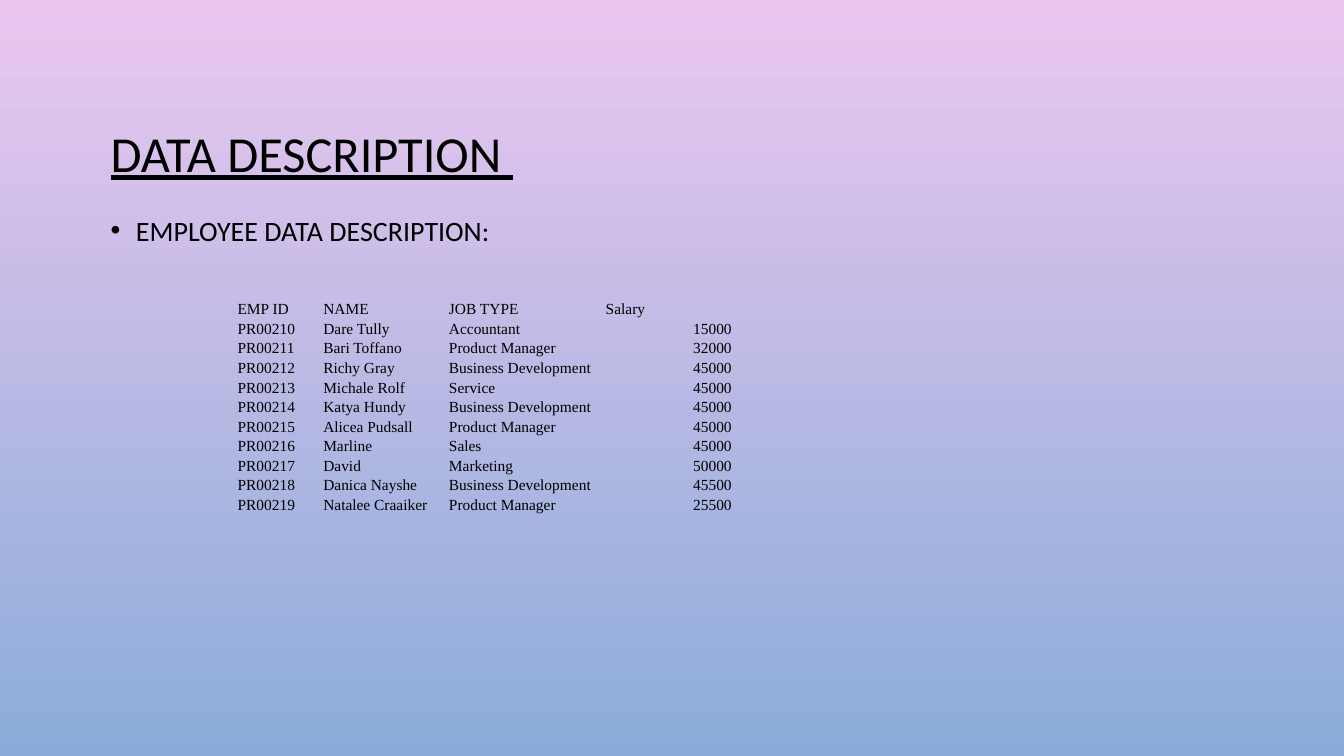
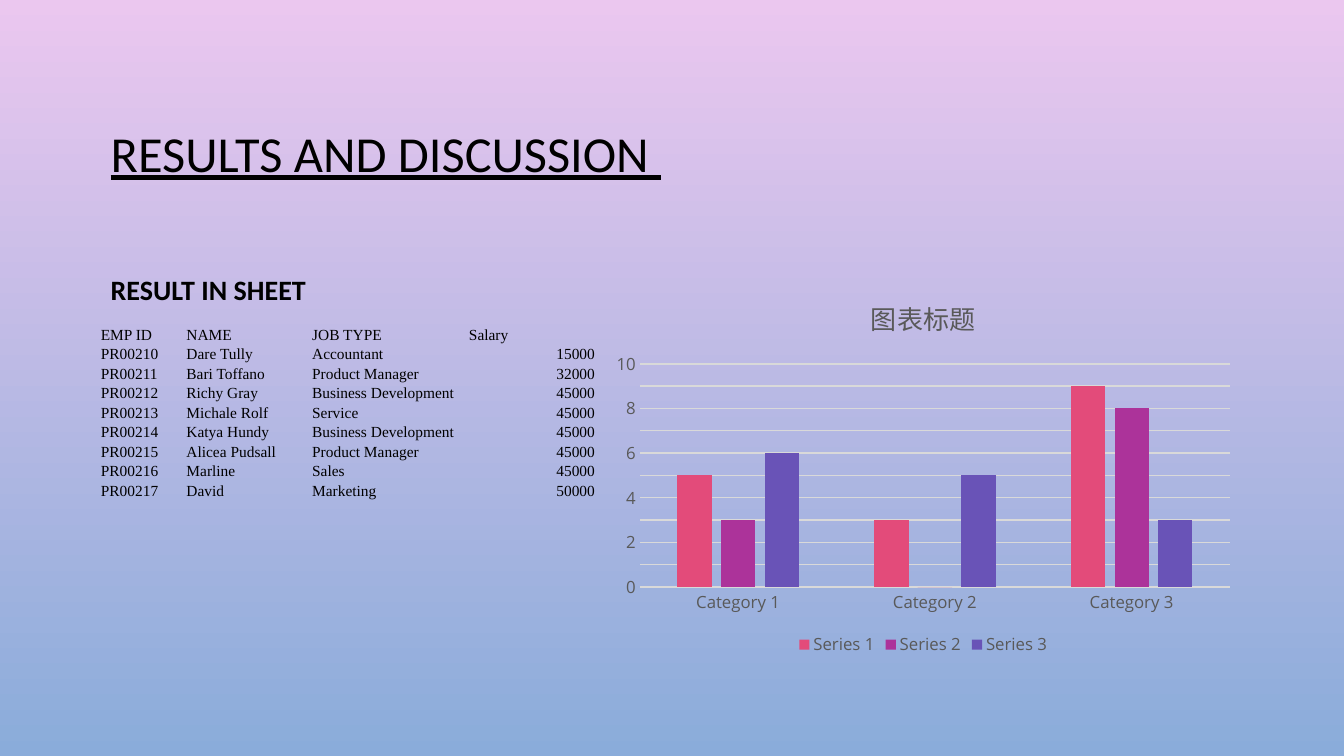
"""Build two slides on employee data: a description table and its results."""
from lxml import etree
from pptx import Presentation
from pptx import util as u
from pptx.chart import data as chart_data
from pptx.dml import color
from pptx.enum import chart as ch, text as tx
from pptx.oxml import ns

COLOURS = {"top": "EBC7EF", "bottom": "8AACDA", "ink": "000000",
           "label": "595959", "grid": "D9D9D9"}
HEADING_FONT, TABLE_FONT, CHART_FONT = "Calibri", "Times New Roman", "Open Sans"
NO_STYLE = "{2D5ABB26-0587-4C30-8999-92F81FD0307C}"
MARGIN, CONTENT_WIDTH = 72, 816
COLUMN_WIDTHS = (61.2, 89.8, 112, 90)
ROW_HEIGHT = 14
HEADINGS = ("EMP ID", "NAME", "JOB TYPE", "Salary")
EMPLOYEES = [
    ("PR00210", "Dare Tully", "Accountant", "15000"),
    ("PR00211", "Bari Toffano", "Product Manager", "32000"),
    ("PR00212", "Richy Gray", "Business Development", "45000"),
    ("PR00213", "Michale Rolf", "Service", "45000"),
    ("PR00214", "Katya Hundy", "Business Development", "45000"),
    ("PR00215", "Alicea Pudsall", "Product Manager", "45000"),
    ("PR00216", "Marline", "Sales", "45000"),
    ("PR00217", "David", "Marketing", "50000"),
    ("PR00218", "Danica Nayshe", "Business Development", "45500"),
    ("PR00219", "Natalee Craaiker", "Product Manager", "25500"),
]
CATEGORIES = ("Category 1", "Category 2", "Category 3")
SERIES = [("Series 1", (5, 3, 9), "E34B7A"),
          ("Series 2", (3, 0, 8), "AC339A"),
          ("Series 3", (6, 5, 3), "6953B7")]


def rgb(value):
    return color.RGBColor.from_string(value)


def style_font(font, name, size, colour=COLOURS["ink"], bold=False):
    font.name, font.size, font.bold = name, u.Pt(size), bold
    font.color.rgb = rgb(colour)


def paint_background(master):
    fill = master.background.fill
    fill.gradient()
    fill.gradient_angle = 270
    for stop, key in zip(fill.gradient_stops, ("top", "bottom")):
        stop.color.rgb = rgb(COLOURS[key])


def add_text(slide, words, top, height, size, spacing, bold=False):
    box = slide.shapes.add_textbox(u.Pt(MARGIN), u.Pt(top),
                                   u.Pt(CONTENT_WIDTH), u.Pt(height))
    box.text_frame.word_wrap = True
    paragraph = box.text_frame.paragraphs[0]
    paragraph.text = words
    paragraph.line_spacing = spacing
    style_font(paragraph.font, HEADING_FONT, size, bold=bold)
    return box.text_frame


def add_title(slide, words):
    frame = add_text(slide, words, 48.5, 126, 36, 0.9)
    frame.vertical_anchor = tx.MSO_ANCHOR.MIDDLE
    frame.paragraphs[0].font.underline = True


def add_subheading(slide, words, top, height, bullet=False, bold=False):
    paragraph = add_text(slide, words, top, height, 20, 1.2, bold).paragraphs[0]
    paragraph.space_before = u.Pt(10)
    if bullet:
        properties = paragraph._p.get_or_add_pPr()
        properties.set("marL", str(u.Pt(18)))
        properties.set("indent", str(-u.Pt(18)))
        font = etree.Element(ns.qn("a:buFont"), typeface="Arial")
        mark = etree.Element(ns.qn("a:buChar"), char="•")
        properties.find(ns.qn("a:spcBef")).addnext(font)
        font.addnext(mark)


def add_employee_table(slide, left, top, employees):
    rows = [HEADINGS, *employees]
    frame = slide.shapes.add_table(
        len(rows), len(HEADINGS), u.Pt(left), u.Pt(top),
        u.Pt(sum(COLUMN_WIDTHS)), u.Pt(ROW_HEIGHT * len(rows)))
    table = frame.table
    table.first_row = table.horz_banding = False
    table._tbl.tblPr.find(ns.qn("a:tableStyleId")).text = NO_STYLE
    for column, width in zip(table.columns, COLUMN_WIDTHS):
        column.width = u.Pt(width)
    for r, values in enumerate(rows):
        table.rows[r].height = u.Pt(ROW_HEIGHT)
        for c, value in enumerate(values):
            cell = table.cell(r, c)
            cell.fill.background()
            cell.margin_left = cell.margin_right = 0
            cell.margin_top = cell.margin_bottom = 0
            cell.vertical_anchor = tx.MSO_ANCHOR.BOTTOM
            paragraph = cell.text_frame.paragraphs[0]
            paragraph.text = value
            style_font(paragraph.font, TABLE_FONT, 11)
            if value.isdigit():
                paragraph.alignment = tx.PP_ALIGN.RIGHT


def style_axes(chart):
    for axis in (chart.category_axis, chart.value_axis):
        axis.major_tick_mark = axis.minor_tick_mark = ch.XL_TICK_MARK.NONE
        style_font(axis.tick_labels.font, CHART_FONT, 12, COLOURS["label"])
    values = chart.value_axis
    values.minimum_scale, values.maximum_scale, values.major_unit = 0, 10, 1
    values.format.line.fill.background()
    for line in (chart.category_axis.format.line,
                 values.major_gridlines.format.line):
        line.width = u.Pt(1)
        line.color.rgb = rgb(COLOURS["grid"])


def add_results_chart(slide):
    figures = chart_data.CategoryChartData()
    figures.categories = CATEGORIES
    for name, values, _ in SERIES:
        figures.add_series(name, values)
    chart = slide.shapes.add_chart(
        ch.XL_CHART_TYPE.COLUMN_CLUSTERED, u.Pt(431.3), u.Pt(198.7),
        u.Pt(456.5), u.Pt(272.9), figures).chart
    style_font(chart.font, CHART_FONT, 10)
    chart.has_title = True
    heading = chart.chart_title.text_frame.paragraphs[0]
    heading.text = "图表标题"
    style_font(heading.font, CHART_FONT, 18.6, COLOURS["label"])
    chart.has_legend = True
    chart.legend.position = ch.XL_LEGEND_POSITION.BOTTOM
    chart.legend.include_in_layout = False
    style_font(chart.legend.font, CHART_FONT, 12, COLOURS["label"])
    style_axes(chart)
    plot = chart.plots[0]
    plot.vary_by_categories = False
    plot.gap_width, plot.overlap = 219, -27
    for series, (_, _, colour) in zip(plot.series, SERIES):
        series.format.fill.solid()
        series.format.fill.fore_color.rgb = rgb(colour)


def main():
    deck = Presentation()
    deck.slide_width, deck.slide_height = u.Pt(960), u.Pt(540)
    paint_background(deck.slide_master)
    blank = deck.slide_layouts[6]

    description = deck.slides.add_slide(blank)
    add_title(description, "DATA DESCRIPTION ")
    add_subheading(description, "EMPLOYEE DATA DESCRIPTION:", 144, 382, bullet=True)
    add_employee_table(description, 169.7, 213.3, EMPLOYEES)

    results = deck.slides.add_slide(blank)
    add_title(results, "RESULTS AND DISCUSSION ")
    add_subheading(results, "RESULT IN SHEET", 186.5, 269, bold=True)
    add_employee_table(results, MARGIN, 231.3, EMPLOYEES[:8])
    add_results_chart(results)

    deck.save("out.pptx")


if __name__ == "__main__":
    main()
